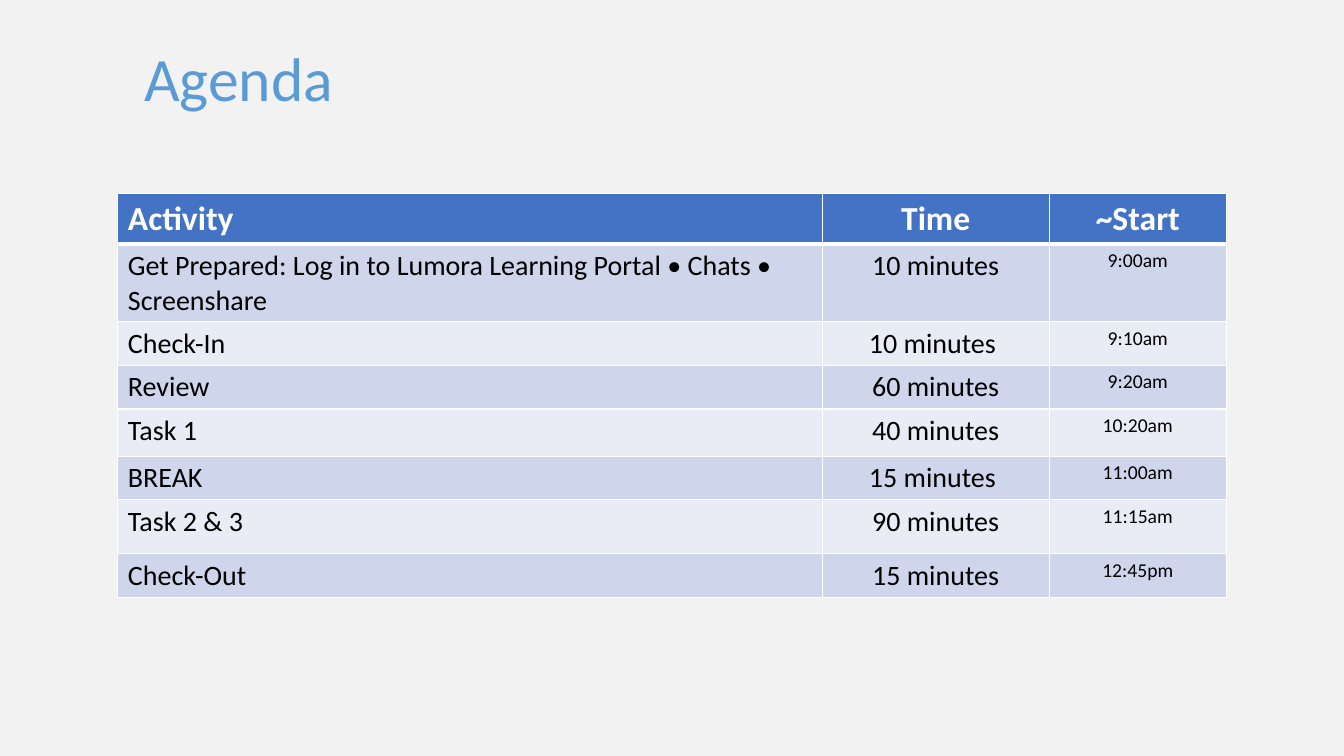
from dataclasses import dataclass

from lxml.etree import SubElement
from pptx import Presentation
from pptx.dml.color import RGBColor
from pptx.enum.text import MSO_ANCHOR as Anchor, PP_ALIGN as Align
from pptx.oxml.ns import qn
from pptx.slide import Slide
from pptx.table import _Cell as Cell
from pptx.text.text import TextFrame
from pptx.util import Cm, Pt


@dataclass(frozen=True)
class Theme:
    font: str = "Calibri"
    background: str = "F2F2F2"
    title: str = "5B9BD5"
    header: str = "4472C4"
    bands: tuple[str, str] = ("CFD5EA", "E9EBF5")
    light: str = "FFFFFF"
    dark: str = "000000"
    title_size: int = 44
    header_size: int = 24
    body_size: int = 20
    start_size: int = 14
    thin_border: int = 1
    thick_border: int = 3


@dataclass(frozen=True)
class AgendaItem:
    activity: str
    time: str
    start: str
    height: float = 0.97


THEME = Theme()
COLUMN_WIDTHS = (17.75, 5.72, 4.47)
HEADER = AgendaItem("Activity", "Time", "~Start", 1.12)
# Non-breaking spaces keep the list of tools on one line
ITEMS = (
    AgendaItem("Get Prepared: Log in to Lumora Learning Portal • Chats • Screenshare",
               "10 minutes", "9:00am"),
    AgendaItem("Check-In", "10 minutes ", "9:10am"),
    AgendaItem("Review", "60 minutes", "9:20am"),
    AgendaItem("Task 1", "40 minutes", "10:20am", 1.19),
    AgendaItem("BREAK", "15 minutes ", "11:00am"),
    AgendaItem("Task 2 & 3", "90 minutes", "11:15am", 1.35),
    AgendaItem("Check-Out", "15 minutes", "12:45pm"),
)


def write(frame: TextFrame, text: str, size: int, color: str,
          bold: bool = False, align: Align = Align.LEFT) -> None:
    frame.text = text
    paragraph = frame.paragraphs[0]
    paragraph.alignment = align
    font = paragraph.runs[0].font
    font.name = THEME.font
    font.size = Pt(size)
    font.bold = bold
    font.color.rgb = RGBColor.from_string(color)


def set_borders(cell: Cell, top: int, bottom: int) -> None:
    properties = cell._tc.get_or_add_tcPr()
    widths = {"a:lnL": THEME.thin_border, "a:lnR": THEME.thin_border,
              "a:lnT": top, "a:lnB": bottom}
    for tag, width in widths.items():
        line = SubElement(properties, qn(tag), w=str(Pt(width)))
        fill = SubElement(line, qn("a:solidFill"))
        SubElement(fill, qn("a:srgbClr"), val=THEME.light)


def add_title(slide: Slide, text: str) -> None:
    frame = slide.shapes.add_textbox(Cm(3.38), Cm(0.84), Cm(27.1), Cm(2.41)).text_frame
    frame.word_wrap = True
    frame.vertical_anchor = Anchor.MIDDLE
    write(frame, text, THEME.title_size, THEME.title)
    frame.paragraphs[0].line_spacing = 0.9


def add_agenda(slide: Slide, rows: tuple[AgendaItem, ...]) -> None:
    table = slide.shapes.add_table(
        len(rows), len(COLUMN_WIDTHS), Cm(2.97), Cm(4.88),
        Cm(sum(COLUMN_WIDTHS)), Cm(sum(row.height for row in rows))).table
    for column, width in zip(table.columns, COLUMN_WIDTHS):
        column.width = Cm(width)

    body_sizes = (THEME.body_size, THEME.body_size, THEME.start_size)
    for row_index, row in enumerate(rows):
        table.rows[row_index].height = Cm(row.height)
        is_header = row_index == 0
        fill = THEME.header if is_header else THEME.bands[(row_index - 1) % 2]
        color = THEME.light if is_header else THEME.dark
        top = THEME.thick_border if row_index == 1 else THEME.thin_border
        bottom = THEME.thick_border if is_header else THEME.thin_border
        for column_index, text in enumerate((row.activity, row.time, row.start)):
            cell = table.cell(row_index, column_index)
            set_borders(cell, top, bottom)
            cell.fill.solid()
            cell.fill.fore_color.rgb = RGBColor.from_string(fill)
            size = THEME.header_size if is_header else body_sizes[column_index]
            align = Align.CENTER if column_index else Align.LEFT
            write(cell.text_frame, text, size, color, is_header, align)


def main() -> None:
    presentation = Presentation()
    presentation.slide_width = Cm(33.87)
    presentation.slide_height = Cm(19.05)
    slide = presentation.slides.add_slide(presentation.slide_layouts[6])

    # Background
    background = slide.background.fill
    background.solid()
    background.fore_color.rgb = RGBColor.from_string(THEME.background)

    # Title and timetable
    add_title(slide, "Agenda")
    add_agenda(slide, (HEADER, *ITEMS))
    presentation.save("out.pptx")


if __name__ == "__main__":
    main()
